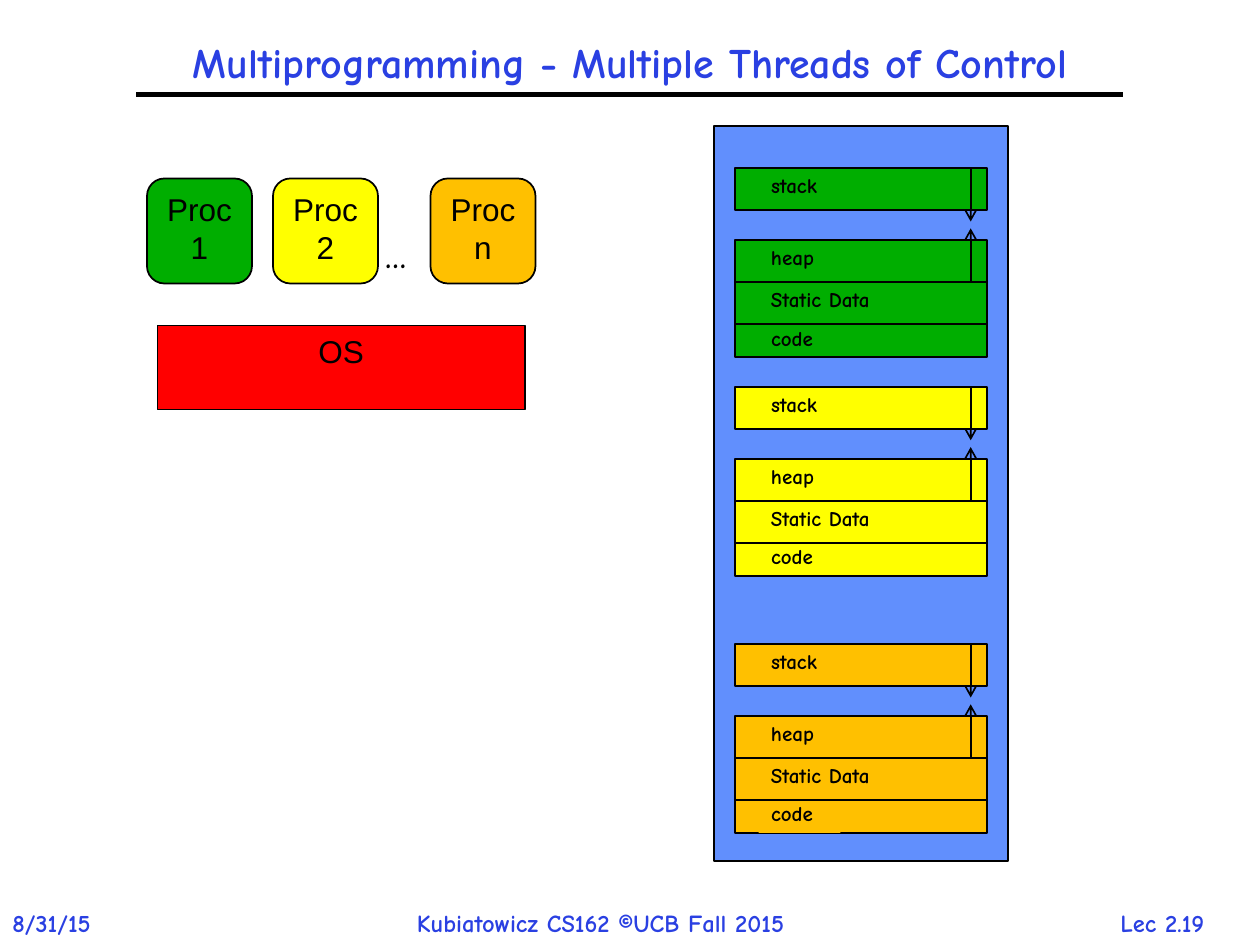
from lxml import etree
from pptx import Presentation
from pptx import util as u
from pptx.dml.color import RGBColor
from pptx.enum import shapes as kinds, text as t
from pptx.oxml.ns import qn

THEME = {
    "blue": "2A40E2", "black": "000000", "memory": "618FFD", "os": "FF0000",
    "processes": ["00AE00", "FFFF00", "FFC000"],
    "hand": "Comic Neue", "plain": "Arial",
    "title": 24, "body": 18, "footer": 14, "label": 12,
}
COLUMNS, ROWS = 120, 90
RECTANGLE = kinds.MSO_SHAPE.RECTANGLE
ROUNDED = kinds.MSO_SHAPE.ROUNDED_RECTANGLE
LEFT, CENTER = t.PP_ALIGN.LEFT, t.PP_ALIGN.CENTER

presentation = Presentation()
presentation.slide_width, presentation.slide_height = u.Inches(10), u.Inches(7.5)
slide = presentation.slides.add_slide(presentation.slide_layouts[6])
column = presentation.slide_width / COLUMNS
row = presentation.slide_height / ROWS


def add_box(parent, place, text="", kind=None, fill=None, outline=True, size=THEME["body"],
            font=THEME["hand"], color=THEME["black"], bold=True, align=LEFT,
            anchor=t.MSO_ANCHOR.TOP, wrap=False, spacing=None):
    """Add a text box, or a shape when a kind is given; place is in grid units."""
    left, top, width, height = place
    frame = [int(left * column), int(top * row), int(width * column), int(height * row)]
    if kind is None:
        shape = parent.add_textbox(*frame)
    else:
        shape = parent.add_shape(kind, *frame)
        shape.shadow.inherit = False
        if outline:
            shape.line.color.rgb = RGBColor.from_string(THEME["black"])
            shape.line.width = u.Pt(1)
        else:
            shape.line.fill.background()
    if fill:
        shape.fill.solid()
        shape.fill.fore_color.rgb = RGBColor.from_string(fill)
    if text:
        body = shape.text_frame
        body.word_wrap, body.vertical_anchor = wrap, anchor
        body.auto_size = t.MSO_AUTO_SIZE.NONE if wrap else t.MSO_AUTO_SIZE.SHAPE_TO_FIT_TEXT
        paragraph = body.paragraphs[0]
        paragraph.alignment, paragraph.line_spacing = align, spacing
        run = paragraph.add_run()
        run.text = text
        run.font.name, run.font.size, run.font.bold = font, u.Pt(size), bold
        run.font.color.rgb = RGBColor.from_string(color)


def add_line(parent, start, end, width=1, arrow=False):
    """Add a straight black line between two grid points."""
    line = parent.add_connector(kinds.MSO_CONNECTOR.STRAIGHT,
                                int(start[0] * column), int(start[1] * row),
                                int(end[0] * column), int(end[1] * row))
    line.line.color.rgb = RGBColor.from_string(THEME["black"])
    line.line.width = u.Pt(width)
    if arrow:
        etree.SubElement(line.line._get_or_add_ln(), qn("a:tailEnd"), type="arrow")
    etree.SubElement(line._element.spPr, qn("a:effectLst"))


# Footer and title
for text, left, width, align in [("Lec 2.19", 103.44, 14.52, CENTER),
                                 ("8/31/15", 0, 12, LEFT),
                                 ("Kubiatowicz CS162 ©UCB Fall 2015", 38.52, 43.32, LEFT)]:
    add_box(slide.shapes, (left, 85.92, width, 4.08), text, size=THEME["footer"],
            color=THEME["blue"], align=align)
add_line(slide.shapes, (13, 9), (107, 9), width=3)
add_box(slide.shapes, (8, 1.3, 104, 9.7), "Multiprogramming - Multiple Threads of Control",
        size=THEME["title"], color=THEME["blue"], align=CENTER,
        anchor=t.MSO_ANCHOR.MIDDLE, wrap=True, spacing=0.9)

# Operating system and the processes it runs
plain = {"font": THEME["plain"], "bold": False, "align": CENTER, "wrap": True}
add_box(slide.shapes, (15, 31, 35, 8), "OS", RECTANGLE, THEME["os"], **plain)
for name, left, fill in zip("12n", (14, 26, 41), THEME["processes"]):
    add_box(slide.shapes, (left, 17, 10, 10), f"Proc {name}", ROUNDED, fill, **plain)
add_box(slide.shapes, (35.5, 22, 5.4, 4.85), "…")

# Memory, with one address space for each process
add_box(slide.shapes, (68, 12, 28, 70), kind=RECTANGLE, fill=THEME["memory"])
SEGMENTS = [  # name, top, height, label width, label rise, label filled in the last process
    ("code", 14.87, 3.13, 7.8, 0.5, True),
    ("Static Data", 10.87, 4, 14.04, 0.17, True),
    ("heap", 6.87, 4, 7.92, 0.17, False),
    ("stack", 0, 4, 8.16, 0.17, False),
]
for top, fill in zip((16, 36.83, 61.33), THEME["processes"]):
    space = slide.shapes.add_group_shape().shapes
    last = fill == THEME["processes"][-1]
    for name, offset, height, width, rise, filled in SEGMENTS:
        add_box(space, (70, top + offset, 24, height), kind=RECTANGLE, fill=fill)
        label = {"kind": RECTANGLE, "fill": fill, "outline": False} if last and filled else {}
        add_box(space, (72.25, top + offset - rise, width, 3.63), name,
                size=THEME["label"], **label)
    # The stack grows down and the heap grows up
    for start, end in [(0, 5.1), (10.87, 5.75)]:
        add_line(space, (92.45, top + start), (92.45, top + end), arrow=True)

presentation.save("out.pptx")
